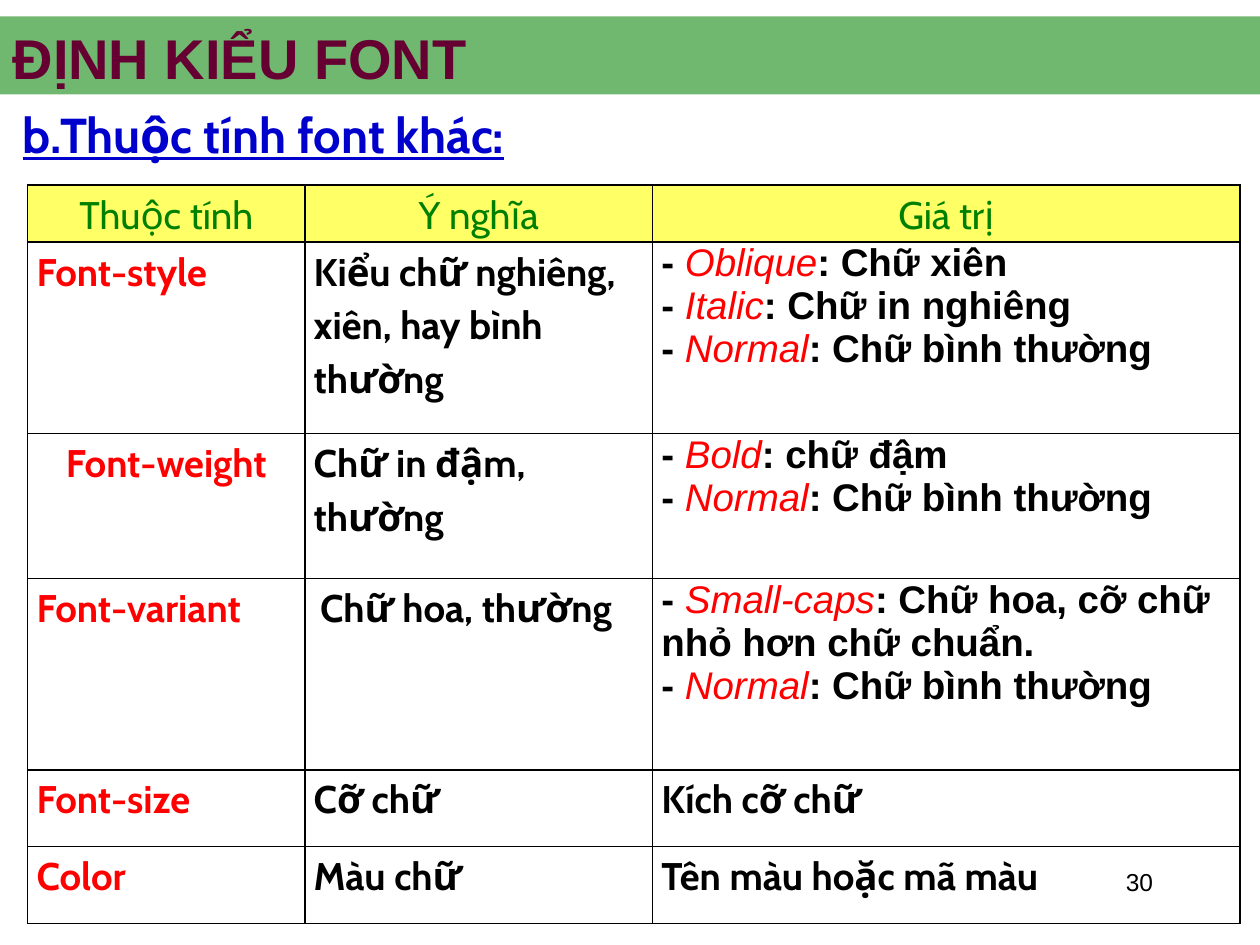
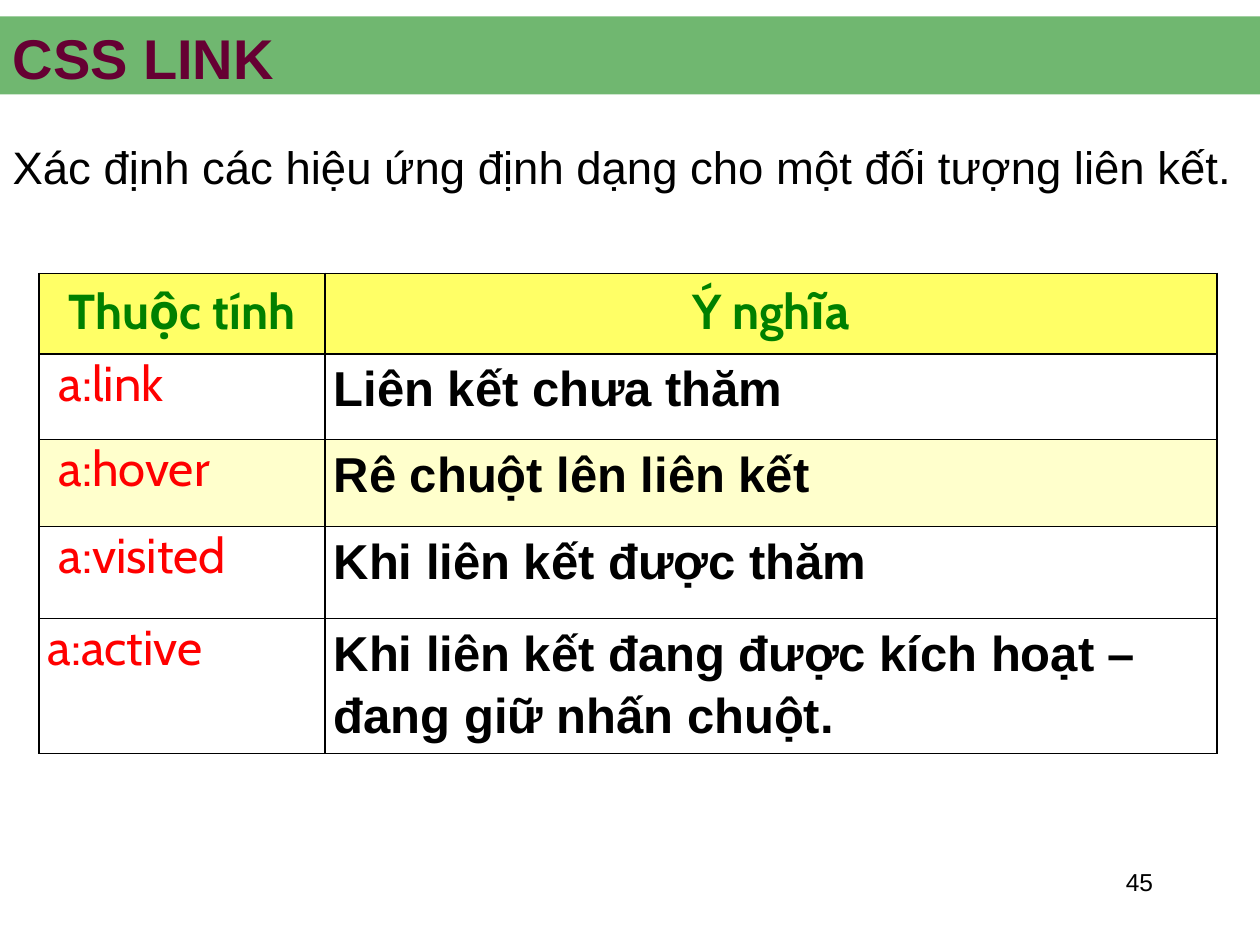
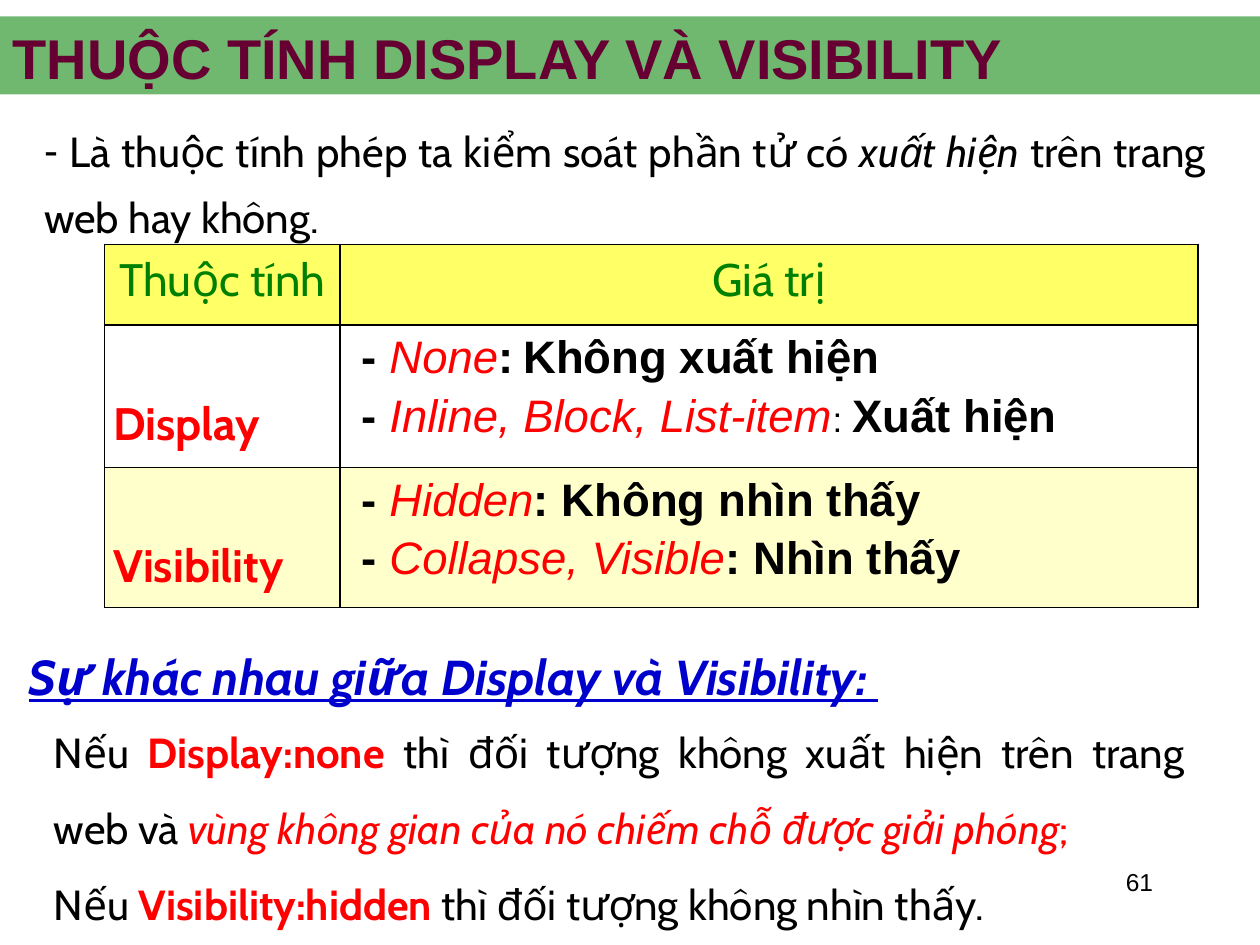
from dataclasses import dataclass

from lxml.etree import SubElement
from pptx import Presentation
from pptx.dml.color import RGBColor
from pptx.enum.shapes import MSO_SHAPE
from pptx.enum.text import MSO_ANCHOR, MSO_AUTO_SIZE, PP_ALIGN
from pptx.oxml import parse_xml
from pptx.oxml.ns import nsdecls, qn
from pptx.util import Inches, Pt


# Theme: each style is font, colour and flags (b bold, i italic, u underline)
@dataclass(frozen=True)
class Theme:
    band = "008000"
    band_opacity = 56
    header_fill = "FFFF66"
    stripe_fill = "FFFFCC"
    border = "000000"
    border_width = 1
    title_size = 32
    number_size = 14
    heading_size = 28
    styles = {
        "title": ("Arial", "660033", "b"),
        "number": ("Arial", "000000", ""),
        "heading": ("Cabin", "0000CC", "bu"),
        "slanted heading": ("Cabin", "0000CC", "biu"),
        "plain": ("Arial", "000000", ""),
        "body": ("Cabin", "000000", ""),
        "body italic": ("Cabin", "000000", "i"),
        "note": ("Cabin", "FF0000", "i"),
        "note end": ("Cabin", "FF0000", ""),
        "header": ("Cabin", "008000", ""),
        "bold header": ("Cabin", "008000", "b"),
        "property": ("Cabin", "FF0000", "b"),
        "selector": ("Cabin", "FF0000", ""),
        "meaning": ("Cabin", "000000", "b"),
        "value": ("Arial", "FF0000", "i"),
        "strong": ("Arial", "000000", "b"),
    }


THEME = Theme()
LEFT, CENTER, RIGHT, JUSTIFY = PP_ALIGN.LEFT, PP_ALIGN.CENTER, PP_ALIGN.RIGHT, PP_ALIGN.JUSTIFY


# Content helpers: a paragraph is a list of (text, style[, size]) runs
def cell(text, style, **options):
    return {"paragraphs": [[(text, style)]], "spacing": 1.15, **options}


def header(text, style="header"):
    return cell(text, style, align=CENTER, fill=THEME.header_fill)


def value_line(name, meaning, lead="- "):
    return [(lead, "strong"), (name, "value"), (": " + meaning, "strong")]


def values(*lines, **options):
    return {"paragraphs": list(lines), **options}


SLIDES = [
    {
        "title": "ĐỊNH KIỂU FONT",
        "number": "30",
        "texts": [
            {"at": (0.08, 0.83, 9.83, 0.67), "size": THEME.heading_size, "spacing": 0.9,
             "paragraphs": [[("b.Thuộc tính font khác:", "heading")]]},
        ],
        "table": {
            "at": (0.22, 1.47), "size": 22,
            "columns": [2.2, 2.76, 4.66],
            "heights": [0.45, 1.52, 1.15, 1.52, 0.61, 0.61],
            "rows": [
                [header("Thuộc tính"), header("Ý nghĩa"), header("Giá trị")],
                [cell("Font-style", "property"),
                 cell("Kiểu chữ nghiêng, xiên, hay bình thường", "meaning"),
                 values(value_line("Oblique", "Chữ xiên"),
                        value_line("Italic", "Chữ in nghiêng"),
                        value_line("Normal", "Chữ bình thường"))],
                [cell("Font-weight", "property", align=CENTER),
                 cell("Chữ in đậm, thường", "meaning"),
                 values(value_line("Bold", "chữ đậm"),
                        value_line("Normal", "Chữ bình thường"))],
                [cell("Font-variant", "property"),
                 cell("Chữ hoa, thường", "meaning", side=0.12),
                 values(value_line("Small-caps", "Chữ hoa, cỡ chữ nhỏ hơn chữ chuẩn."),
                        value_line("Normal", "Chữ bình thường"))],
                [cell("Font-size", "property"), cell("Cỡ chữ", "meaning"),
                 cell("Kích cỡ chữ", "meaning")],
                [cell("Color", "property"), cell("Màu chữ", "meaning"),
                 cell("Tên màu hoặc mã màu", "meaning")],
            ],
        },
    },
    {
        "title": "CSS LINK",
        "number": "45",
        "texts": [
            {"at": (0, 0.92, 10, 0.66), "size": 26, "spacing": 1.3,
             "paragraphs": [[("Xác định các hiệu ứng định dạng cho một đối tượng liên kết.",
                              "plain")]]},
        ],
        "table": {
            "at": (0.31, 2.17), "size": 28,
            "columns": [2.27, 7.08],
            "heights": [0.64, 0.68, 0.69, 0.73, 1.07],
            "rows": [
                [header("Thuộc tính", "bold header"), header("Ý nghĩa", "bold header")],
                [cell(" a:link", "selector", spacing=1),
                 cell("Liên kết chưa thăm", "strong")],
                [cell(" a:hover", "selector", spacing=1, fill=THEME.stripe_fill),
                 cell("Rê chuột lên liên kết", "strong", fill=THEME.stripe_fill)],
                [cell(" a:visited", "selector", spacing=1),
                 cell("Khi liên kết được thăm", "strong")],
                [cell("a:active", "selector", spacing=1),
                 cell("Khi liên kết đang được kích hoạt – đang giữ nhấn chuột.", "strong")],
            ],
        },
    },
    {
        "title": "THUỘC TÍNH DISPLAY VÀ VISIBILITY",
        "number": "61",
        "texts": [
            {"at": (0.25, 0.83, 9.42, 1.14), "size": 24, "spacing": 1.3, "align": JUSTIFY,
             "bullet": "-",
             "paragraphs": [[
                 (" Là thuộc tính phép ta kiểm soát phần tử có ", "body"),
                 ("xuất hiện", "body italic"),
                 (" trên trang web hay không.", "body")]]},
            {"at": (0.13, 5.08, 8.01, 0.57), "size": THEME.heading_size,
             "paragraphs": [[("Sự khác nhau giữa Display và Visibility: ", "slanted heading")]]},
            {"at": (0.33, 5.52, 9.17, 1.9), "size": 24, "spacing": 1.5, "align": JUSTIFY,
             "paragraphs": [
                 [("Nếu ", "body"), ("Display:none ", "property"),
                  ("thì đối tượng không xuất hiện trên trang web và ", "body"),
                  ("vùng không gian của nó chiếm chỗ được giải phóng", "note"),
                  (";", "note end")],
                 [("Nếu ", "body"), ("Visibility:hidden", "property"),
                  (" thì đối tượng không nhìn thấy.", "body")]]},
        ],
        "table": {
            "at": (0.83, 1.94), "size": 26,
            "columns": [1.87, 6.81],
            "heights": [0.64, 1.13, 1.11],
            "rows": [
                [header("Thuộc tính"), header("Giá trị")],
                [cell("Display", "property", top=0.5),
                 values([(" - ", "strong"), ("None", "value"), (":", "strong"),
                         (" ", "strong", 20), ("Không xuất hiện", "strong")],
                        [(" - ", "strong"), ("Inline, Block, List-item", "value"),
                         (": ", "plain", 20), ("Xuất hiện", "strong")], spacing=1.15)],
                [cell("Visibility", "property", top=0.5, fill=THEME.stripe_fill),
                 values(value_line("Hidden", "Không nhìn thấy", " - "),
                        value_line("Collapse, Visible", "Nhìn thấy", " - "),
                        spacing=1.15, fill=THEME.stripe_fill)],
            ],
        },
    },
]


# Text
def format_run(run, style, size):
    name, color, flags = THEME.styles[style]
    font = run.font
    font.name, font.size = name, Pt(size)
    font.color.rgb = RGBColor.from_string(color)
    font.bold, font.italic, font.underline = ("b" in flags, "i" in flags, "u" in flags)


def set_bullet(paragraph, bullet):
    properties = paragraph._p.get_or_add_pPr()
    properties.set("marL", "0")
    properties.set("indent", str(Inches(-0.17) if bullet else 0))
    if bullet:
        SubElement(properties, qn("a:buChar")).set("char", bullet)
    else:
        SubElement(properties, qn("a:buNone"))


def write(text_frame, paragraphs, size, align=LEFT, spacing=1, bullet=None):
    for index, runs in enumerate(paragraphs):
        paragraph = text_frame.add_paragraph() if index else text_frame.paragraphs[0]
        paragraph.alignment = align
        paragraph.line_spacing = spacing
        paragraph.space_before = Pt(0)
        set_bullet(paragraph, bullet)
        for text, style, *own_size in runs:
            run = paragraph.add_run()
            run.text = text
            format_run(run, style, own_size[0] if own_size else size)


def place(shape, left, top, width, height):
    shape.left, shape.top = Inches(left), Inches(top)
    shape.width, shape.height = Inches(width), Inches(height)


def fill_text_shape(shape, at, anchor=MSO_ANCHOR.TOP, **text):
    place(shape, *at)
    text_frame = shape.text_frame
    text_frame.word_wrap = True
    text_frame.auto_size = MSO_AUTO_SIZE.NONE
    text_frame.vertical_anchor = anchor
    write(text_frame, **text)


def add_text(slide, **text):
    fill_text_shape(slide.shapes.add_textbox(0, 0, 0, 0), **text)


# Shared frame: band behind the title, title and slide number
def add_band(slide):
    band = slide.shapes.add_shape(MSO_SHAPE.RECTANGLE, 0, Inches(0.13), Inches(10), Inches(0.62))
    band.shadow.inherit = False
    band.line.fill.background()
    band.fill.solid()
    band.fill.fore_color.rgb = RGBColor.from_string(THEME.band)
    color = band._element.spPr.find(qn("a:solidFill"))[0]
    SubElement(color, qn("a:alpha")).set("val", str(THEME.band_opacity * 1000))
    slide.shapes._spTree.insert(2, band._element)


def add_frame(slide, title, number):
    add_band(slide)
    fill_text_shape(slide.shapes.title, (0, 0.24, 10, 0.42), MSO_ANCHOR.MIDDLE,
                    paragraphs=[[(title, "title")]], size=THEME.title_size)
    add_text(slide, at=(7.17, 6.83, 2.08, 0.5), align=RIGHT,
             paragraphs=[[(number, "number")]], size=THEME.number_size)


# Tables
def set_borders(table_cell):
    properties = table_cell._tc.get_or_add_tcPr()
    for index, side in enumerate(("lnL", "lnR", "lnT", "lnB")):
        properties.insert(index, parse_xml(
            f'<a:{side} {nsdecls("a")} w="{Pt(THEME.border_width)}"><a:solidFill>'
            f'<a:srgbClr val="{THEME.border}"/></a:solidFill></a:{side}>'))


def fill_cell(table_cell, size, fill=None, side=0.07, top=0, **text):
    table_cell.margin_left = table_cell.margin_right = Inches(side)
    table_cell.margin_top, table_cell.margin_bottom = Inches(top), 0
    if fill:
        table_cell.fill.solid()
        table_cell.fill.fore_color.rgb = RGBColor.from_string(fill)
    else:
        table_cell.fill.background()
    set_borders(table_cell)
    write(table_cell.text_frame, size=size, **text)


def add_property_table(slide, at, size, columns, heights, rows):
    left, top = at
    table = slide.shapes.add_table(
        len(rows), len(columns), Inches(left), Inches(top),
        Inches(sum(columns)), Inches(sum(heights))).table
    table.first_row = table.horz_banding = False
    for column, width in zip(table.columns, columns):
        column.width = Inches(width)
    for row, height, contents in zip(table.rows, heights, rows):
        row.height = Inches(height)
        for table_cell, content in zip(row.cells, contents):
            fill_cell(table_cell, size, **content)


def main():
    presentation = Presentation()
    presentation.slide_width, presentation.slide_height = Inches(10), Inches(7.5)
    for content in SLIDES:
        slide = presentation.slides.add_slide(presentation.slide_layouts[1])
        add_frame(slide, content["title"], content["number"])
        body_text, *other_texts = content["texts"]
        fill_text_shape(slide.placeholders[1], **body_text)
        add_property_table(slide, **content["table"])
        for text in other_texts:
            add_text(slide, **text)
    presentation.save("out.pptx")


if __name__ == "__main__":
    main()
